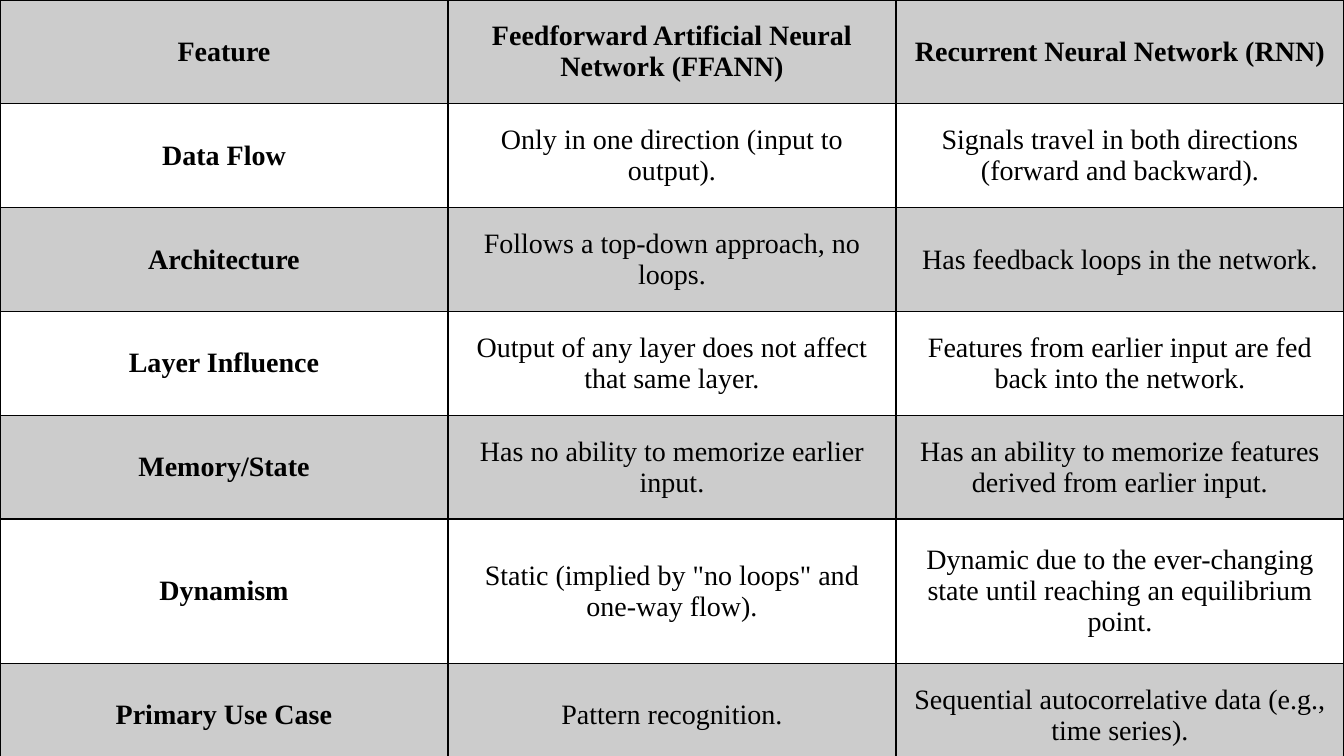
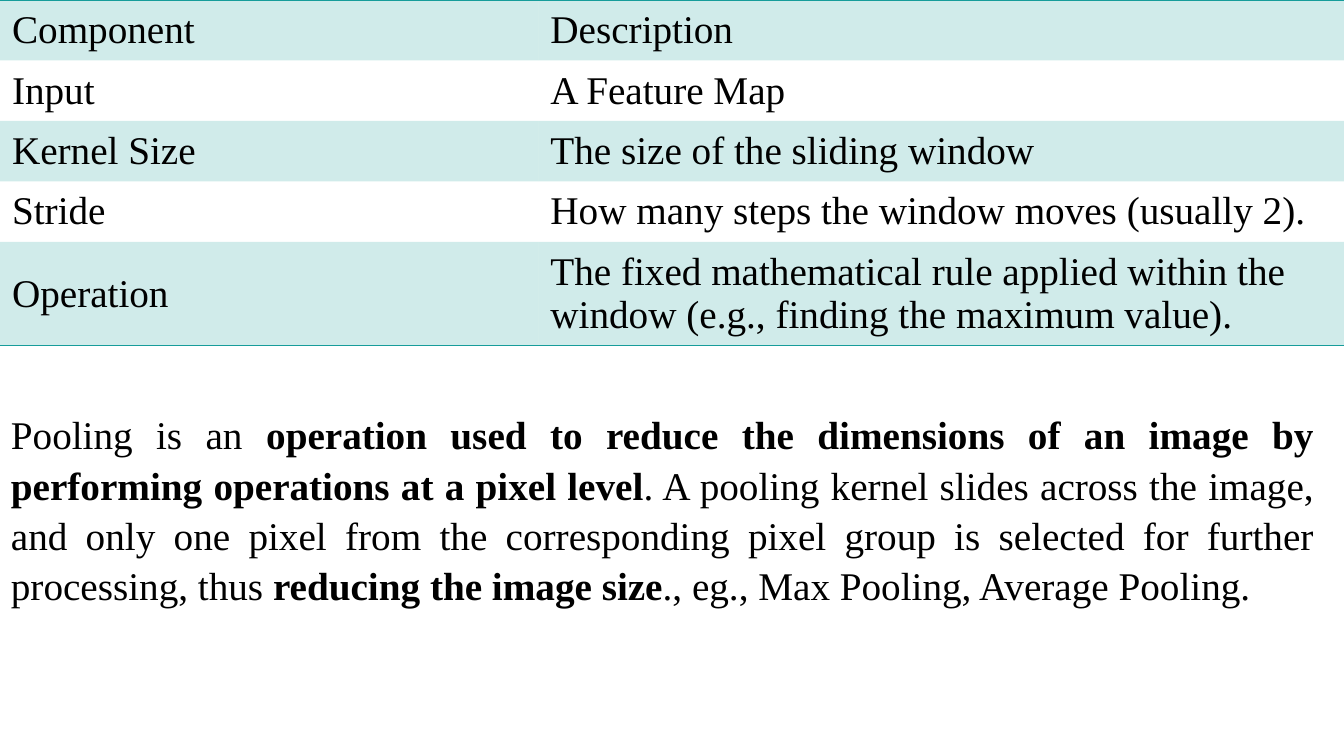
from lxml.etree import SubElement
from pptx import Presentation
from pptx.dml.color import RGBColor
from pptx.enum.text import MSO_ANCHOR, PP_ALIGN
from pptx.oxml.ns import qn
from pptx.util import Inches, Pt

COLORS = {"ink": "000000", "teal": "169C9A"}
FONT = "Times New Roman"
TINT = 20  # per cent opacity of the banded rows
SLIDE_W, SLIDE_H = 13.33, 7.5
NO_STYLE = "{2D5ABB26-0587-4C30-8999-92F81FD0307C}"
CELL = {
    "margin_left": Inches(0.12), "margin_right": Inches(0.12),
    "margin_top": Inches(0.08), "margin_bottom": Inches(0.08),
    "vertical_anchor": MSO_ANCHOR.MIDDLE,
}

NETWORKS = [
    ("Feature", "Feedforward Artificial Neural Network (FFANN)",
     "Recurrent Neural Network (RNN)"),
    ("Data Flow", "Only in one direction (input to output).",
     "Signals travel in both directions (forward and backward)."),
    ("Architecture", "Follows a top-down approach, no loops.",
     "Has feedback loops in the network."),
    ("Layer Influence", "Output of any layer does not affect that same layer.",
     "Features from earlier input are fed back into the network."),
    ("Memory/State", "Has no ability to memorize earlier input.",
     "Has an ability to memorize features derived from earlier input."),
    ("Dynamism", 'Static (implied by "no loops" and one-way flow).',
     "Dynamic due to the ever-changing state until reaching an equilibrium point."),
    ("Primary Use Case", "Pattern recognition.",
     "Sequential autocorrelative data (e.g., time series)."),
]
NETWORK_ROWS = [1.03] * 5 + [1.43, 1.03]

POOLING = [
    ("Component", "Description"),
    ("Input", "A Feature Map"),
    ("Kernel Size", "The size of the sliding window"),
    ("Stride", "How many steps the window moves (usually 2)."),
    ("Operation", "The fixed mathematical rule applied within the window "
                  "(e.g., finding the maximum value)."),
]
POOLING_ROWS = [0.6] * 4 + [1.03]

# (text, bold)
POOLING_NOTE = [
    ("Pooling is an ", False),
    ("operation used to reduce the dimensions of an image by performing "
     "operations at a pixel level", True),
    (". A pooling kernel slides across the image, and only one pixel from the "
     "corresponding pixel group is selected for further processing, thus ", False),
    ("reducing the image size", True),
    ("., eg., Max Pooling, Average Pooling.", False),
]


def add_run(p, text, size, bold=False):
    r = p.add_run()
    r.text = text
    for name, value in {"name": FONT, "size": Pt(size), "bold": bold}.items():
        setattr(r.font, name, value)
    r.font.color.rgb = RGBColor.from_string(COLORS["ink"])


def add_borders(cell, sides, color):
    """Draw 1 pt lines on the sides named by letters, in the order L, R, T, B."""
    tc_pr = cell._tc.get_or_add_tcPr()
    for i, side in enumerate(sides):
        ln = SubElement(tc_pr, qn("a:ln" + side), w=str(Pt(1)))
        fill = SubElement(ln, qn("a:solidFill"))
        SubElement(fill, qn("a:srgbClr"), val=COLORS[color])
        tc_pr.insert(i, ln)  # lines come before the fill


def fill_cell(cell, color):
    cell.fill.solid()
    cell.fill.fore_color.rgb = RGBColor.from_string(COLORS[color])
    clr = cell._tc.tcPr.find(".//" + qn("a:srgbClr"))
    SubElement(clr, qn("a:alpha"), val=str(TINT * 1000))


def add_banded_table(s, rows, widths, heights, color, size, align, bold, sides):
    """bold and sides are rules taking the row and column number."""
    frame = s.shapes.add_table(len(rows), len(widths), 0, 0,
                               Inches(sum(widths)), Inches(sum(heights)))
    table = frame.table
    table.first_row = table.horz_banding = False
    table._tbl.tblPr.find(qn("a:tableStyleId")).text = NO_STYLE
    for col, width in zip(table.columns, widths):
        col.width = Inches(width)
    for i, (texts, height) in enumerate(zip(rows, heights)):
        table.rows[i].height = Inches(height)
        for j, text in enumerate(texts):
            cell = table.cell(i, j)
            for name, value in CELL.items():
                setattr(cell, name, value)
            if i % 2 == 0:
                fill_cell(cell, color)
            add_borders(cell, sides(i, j), color)
            p = cell.text_frame.paragraphs[0]
            p.alignment = align
            add_run(p, text, size, bold(i, j))


def build_networks(s):
    add_banded_table(s, NETWORKS, [SLIDE_W / 3] * 3, NETWORK_ROWS, "ink", 20,
                     PP_ALIGN.CENTER, lambda i, j: i == 0 or j == 0,
                     lambda i, j: "LRTB")


def build_pooling(s):
    outer = {0: "T", len(POOLING) - 1: "B"}
    add_banded_table(s, POOLING, [5.34, SLIDE_W - 5.34], POOLING_ROWS, "teal", 28,
                     PP_ALIGN.LEFT, lambda i, j: False,
                     lambda i, j: outer.get(i, ""))
    tf = s.shapes.add_textbox(Inches(0.01), Inches(3.99),
                              Inches(13.12), Inches(1.99)).text_frame
    tf.word_wrap = True
    p = tf.paragraphs[0]
    p.alignment = PP_ALIGN.JUSTIFY
    p.line_spacing = 1.07
    for text, bold in POOLING_NOTE:
        add_run(p, text, 28, bold)


def main():
    prs = Presentation()
    prs.slide_width, prs.slide_height = Inches(SLIDE_W), Inches(SLIDE_H)
    blank = prs.slide_layouts[6]
    for build in (build_networks, build_pooling):
        build(prs.slides.add_slide(blank))
    prs.save("out.pptx")


if __name__ == "__main__":
    main()
